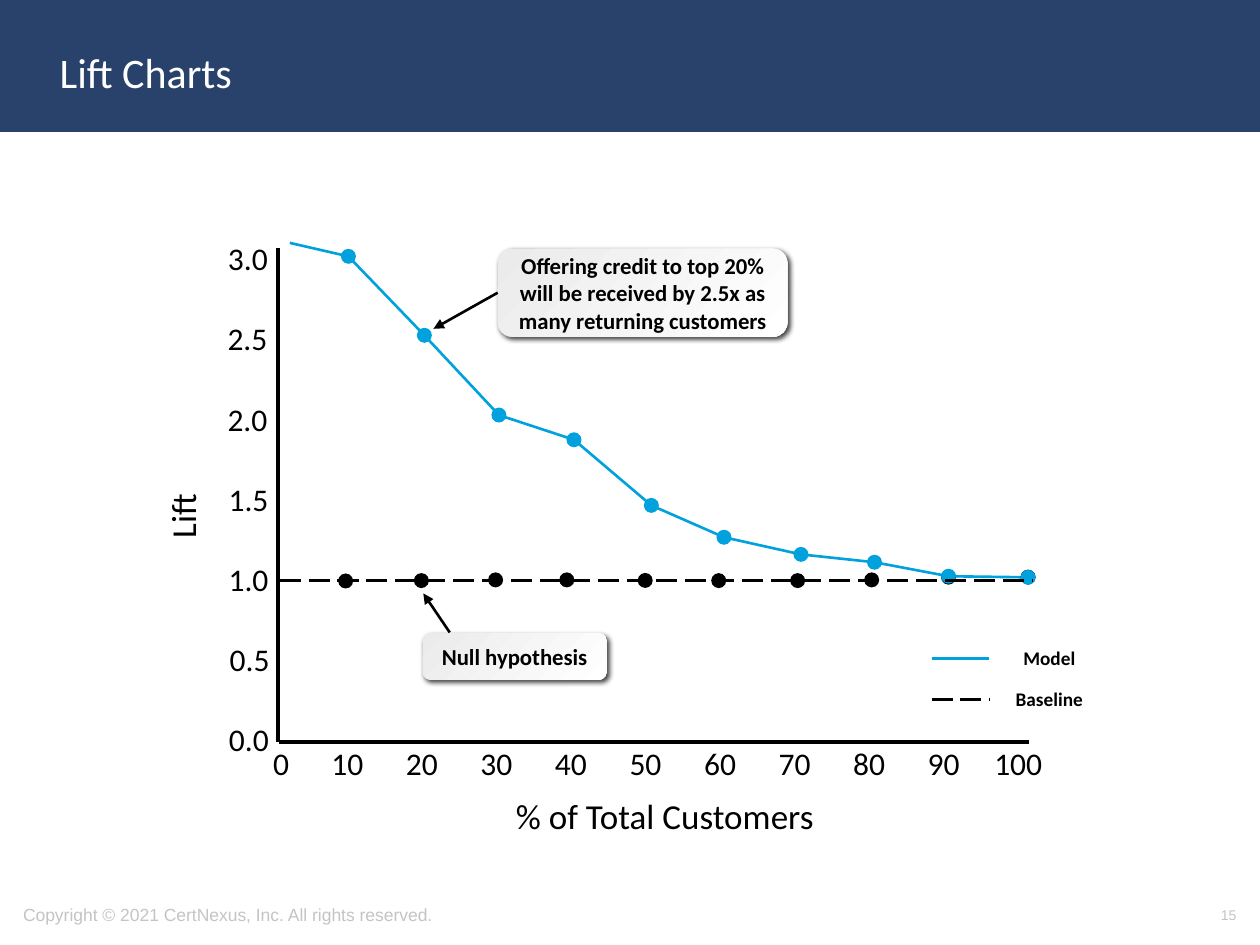
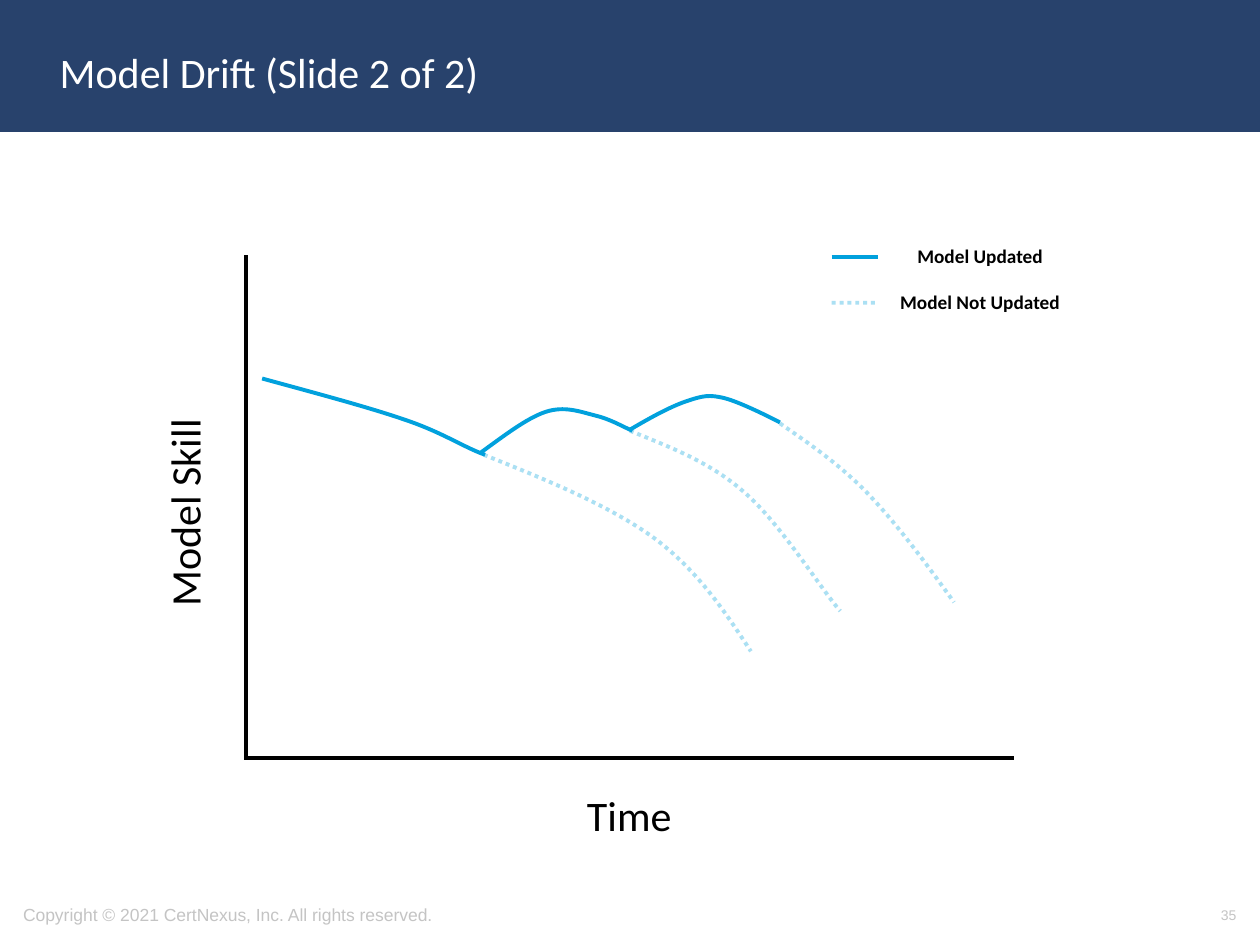
from dataclasses import dataclass

from lxml import etree
from pptx import Presentation
from pptx.dml.color import RGBColor
from pptx.enum.dml import MSO_LINE
from pptx.enum.shapes import MSO_CONNECTOR, MSO_SHAPE
from pptx.enum.text import MSO_ANCHOR, PP_ALIGN
from pptx.oxml.ns import qn
from pptx.util import Pt

LEFT, CENTER, RIGHT = PP_ALIGN.LEFT, PP_ALIGN.CENTER, PP_ALIGN.RIGHT
TOP, MIDDLE = MSO_ANCHOR.TOP, MSO_ANCHOR.MIDDLE
LONG_DASH, DOTTED = MSO_LINE.LONG_DASH, MSO_LINE.ROUND_DOT
STRAIGHT = MSO_CONNECTOR.STRAIGHT
RECTANGLE, ROUNDED, OVAL = MSO_SHAPE.RECTANGLE, MSO_SHAPE.ROUNDED_RECTANGLE, MSO_SHAPE.OVAL
LEFT_SIDE = 1


@dataclass(frozen=True)
class Theme:
    navy: str = "28426C"
    blue: str = "01A1DD"
    black: str = "000000"
    white: str = "FFFFFF"
    footer_gray: str = "C4C4C4"
    callout_gray: str = "EBEBEB"
    body_font: str = "Calibri"
    footer_font: str = "Arial"
    title_size: float = 24
    axis_size: float = 20
    tick_size: float = 18
    callout_size: float = 13
    legend_size: float = 11
    footer_size: float = 10
    number_size: float = 8


THEME = Theme()
Point = tuple[float, float]


@dataclass(frozen=True)
class Label:
    text: str
    left: float
    top: float
    width: float
    height: float
    size: float
    color: str = THEME.black
    font: str = THEME.body_font
    bold: bool = False
    align: PP_ALIGN = LEFT
    anchor: MSO_ANCHOR = TOP
    wrap: bool = True
    rotation: float = 0
    tabs: tuple[float, ...] = ()


@dataclass(frozen=True)
class Stroke:
    color: str
    width: float
    dash: MSO_LINE | None = None
    opacity: int = 100
    arrow: bool = False


@dataclass(frozen=True)
class Callout:
    text: str
    left: float
    top: float
    width: float
    height: float


AXIS = Stroke(THEME.black, 2.25)
MODEL = Stroke(THEME.blue, 1.5)
BASELINE = Stroke(THEME.black, 1.5, LONG_DASH)
POINTER = Stroke(THEME.black, 1.5, arrow=True)
UPDATED = Stroke(THEME.blue, 2.25)
NOT_UPDATED = Stroke(THEME.blue, 2.25, DOTTED, opacity=32)

# Lift chart: data points from 0 or 10 % to 100 % of customers
MODEL_POINTS = (
    (165.6, 138.8), (199.1, 146.5), (242.5, 191.6), (285.1, 237.2), (328, 251.3), (372.2, 288.8),
    (413.7, 307), (457.7, 316.8), (499.7, 321.3), (542, 329.3), (587.5, 329.9),
)
BASELINE_POINTS = (
    (197.5, 332), (240.8, 331.8), (283.2, 331.4), (323.9, 331.4), (368.7, 331.7),
    (410.7, 331.8), (455.8, 331.8), (498.1, 331.4), (542, 329.8), (587.5, 329.8),
)
DOT_SIZE = 8.6
TICK_LEFTS = (112.6, 112.4, 112.4, 113, 113, 113.6, 113.2)
TICK_STEP = 45.8
CREDIT = Callout("Offering credit to top 20% will be received by 2.5x as many returning customers",
                 284.4, 142.1, 165.6, 50.4)
NULL_HYPOTHESIS = Callout("Null hypothesis", 241.5, 361.7, 105.1, 26.8)

# Model drift: each curve is a start point, then three Bézier points a segment
UPDATED_CURVES = (
    ((149.8, 216.3), (180, 224.6), (210.2, 232.6), (231.1, 239.8),
     (252.7, 247), (265, 255.6), (277.2, 259.9)),
    ((275, 258.5), (288, 249.1), (301, 239), (311.8, 235.4),
     (322.6, 231.8), (331.9, 235.4), (339.8, 237.4),
     (348.5, 239.4), (355, 243.4), (361.4, 246.2)),
    ((360, 245.5), (372.2, 238.3), (383.8, 232), (393.1, 229),
     (401.8, 226.1), (405.4, 225.4), (414, 227.5),
     (422.6, 229.7), (439.9, 238.3), (445.7, 241.4)),
)
NOT_UPDATED_CURVES = (
    ((276.5, 259.9), (312.5, 274.3), (347.8, 288.7), (373.7, 307.4),
     (398.9, 326.2), (414, 349.2), (429.1, 372.2)),
    ((360, 246.2), (383, 255.6), (406.1, 264.2), (425.5, 281.5),
     (445.7, 298.8), (469.4, 337), (480.2, 349.2)),
    ((445.7, 241.9), (462.2, 253.4), (479.5, 265), (496.1, 282.2),
     (512.6, 299.5), (529.2, 321.8), (545.2, 344.2)),
)


# Drawing functions
def rgb(color: str) -> RGBColor:
    return RGBColor.from_string(color)


def add_xml(parent, tag: str, **attributes: str):
    return etree.SubElement(parent, qn(tag), attributes)


def fill_text(shape, label: Label) -> None:
    frame = shape.text_frame
    frame.word_wrap = label.wrap
    frame.vertical_anchor = label.anchor
    paragraph = frame.paragraphs[0]
    paragraph.text = label.text
    paragraph.alignment = label.align
    if label.tabs:
        tab_list = add_xml(paragraph._p.get_or_add_pPr(), "a:tabLst")
        for position in label.tabs:
            add_xml(tab_list, "a:tab", pos=str(Pt(position)), algn="ctr")
    font = paragraph.font
    font.name, font.size, font.bold = label.font, Pt(label.size), label.bold
    font.color.rgb = rgb(label.color)


def add_label(slide, label: Label) -> None:
    box = slide.shapes.add_textbox(Pt(label.left), Pt(label.top), Pt(label.width), Pt(label.height))
    box.rotation = label.rotation
    fill_text(box, label)


def apply_stroke(shape, stroke: Stroke) -> None:
    shape.line.color.rgb = rgb(stroke.color)
    shape.line.width = Pt(stroke.width)
    if stroke.dash is not None:
        shape.line.dash_style = stroke.dash
    outline = shape.element.spPr.find(qn("a:ln"))
    if stroke.opacity < 100:
        add_xml(outline.find(".//" + qn("a:srgbClr")), "a:alpha", val=str(stroke.opacity * 1000))
    if stroke.arrow:
        add_xml(outline, "a:tailEnd", type="triangle")


def add_line(slide, start: Point, end: Point, stroke: Stroke):
    line = slide.shapes.add_connector(STRAIGHT, *(Pt(value) for value in (*start, *end)))
    apply_stroke(line, stroke)
    add_xml(line.element.spPr, "a:effectLst")
    return line


def add_dot(slide, center: Point, color: str) -> None:
    x, y = center
    dot = slide.shapes.add_shape(OVAL, Pt(x - DOT_SIZE / 2), Pt(y - DOT_SIZE / 2),
                                 Pt(DOT_SIZE), Pt(DOT_SIZE))
    dot.fill.solid()
    dot.fill.fore_color.rgb = rgb(color)
    dot.line.fill.background()
    dot.shadow.inherit = False


def add_curve(slide, points: tuple[Point, ...], stroke: Stroke) -> None:
    (start_x, start_y), *controls = points
    builder = slide.shapes.build_freeform(Pt(start_x), Pt(start_y))
    builder.add_line_segments([(Pt(x), Pt(y)) for x, y in controls], close=False)
    curve = builder.convert_to_shape()
    # Join every three line ends into one Bézier segment
    segments = list(curve.element.iter(qn("a:lnTo")))
    outline = segments[0].getparent()
    for first in range(0, len(segments), 3):
        bezier = add_xml(outline, "a:cubicBezTo")
        for segment in segments[first:first + 3]:
            bezier.append(segment[0])
            outline.remove(segment)
    curve.fill.background()
    curve.shadow.inherit = False
    apply_stroke(curve, stroke)


def add_callout(slide, callout: Callout):
    area = (callout.left, callout.top, callout.width, callout.height)
    shape = slide.shapes.add_shape(ROUNDED, *(Pt(value) for value in area))
    shape.fill.gradient()
    shape.fill.gradient_angle = 315
    for stop, color in zip(shape.fill.gradient_stops, (THEME.callout_gray, THEME.white)):
        stop.color.rgb = rgb(color)
    shape.line.fill.background()
    shape.shadow.inherit = False
    shadow = add_xml(shape.element.spPr.find(qn("a:effectLst")), "a:outerShdw",
                     blurRad=str(Pt(3)), dist=str(Pt(2)), dir="2700000", rotWithShape="0")
    shadow_color = add_xml(shadow, "a:srgbClr", val=THEME.black)
    add_xml(shadow_color, "a:alpha", val="75000")
    fill_text(shape, Label(callout.text, *area, THEME.callout_size,
                           bold=True, align=CENTER, anchor=MIDDLE))
    return shape


def add_legend_entry(slide, text: str, line_left: float, line_width: float, y: float,
                     text_left: float, text_width: float, stroke: Stroke) -> None:
    add_line(slide, (line_left, y), (line_left + line_width, y), stroke)
    add_label(slide, Label(text, text_left, y - 10.4, text_width, 20.9, THEME.legend_size,
                           bold=True, align=CENTER))


def add_base_slide(presentation, title: str, number: str):
    slide = presentation.slides.add_slide(presentation.slide_layouts[6])
    band = slide.shapes.add_shape(RECTANGLE, 0, 0, presentation.slide_width, Pt(74.5))
    band.fill.solid()
    band.fill.fore_color.rgb = rgb(THEME.navy)
    band.shadow.inherit = False
    apply_stroke(band, Stroke(THEME.navy, 2))
    add_label(slide, Label(title, 27, 7.9, 620.6, 66.2, THEME.title_size, THEME.white,
                           anchor=MIDDLE))
    add_label(slide, Label("Copyright © 2021 CertNexus, Inc. All rights reserved.",
                           6.1, 508.3, 379.4, 28.8, THEME.footer_size, THEME.footer_gray,
                           THEME.footer_font, anchor=MIDDLE))
    add_label(slide, Label(number, 545.8, 508.3, 167.8, 28.8, THEME.number_size,
                           THEME.footer_gray, THEME.footer_font, align=RIGHT, anchor=MIDDLE))
    return slide


# Slides
def build_lift_charts(presentation) -> None:
    slide = add_base_slide(presentation, "Lift Charts", "15")
    for start, end in zip(MODEL_POINTS, MODEL_POINTS[1:]):
        add_line(slide, start, end, MODEL)

    # Axes, ticks and axis titles
    add_line(slide, (159.1, 141.8), (159.1, 424.1), AXIS)
    add_line(slide, (587.9, 424.1), (159.5, 424.1), AXIS)
    for index, left in enumerate(TICK_LEFTS):
        add_label(slide, Label(f"{3 - index / 2:.1f}", left, 133.2 + index * TICK_STEP,
                               47.5, 28.8, THEME.tick_size, align=RIGHT))
    add_label(slide, Label("\t".join(str(percent) for percent in range(0, 101, 10)),
                           149, 421.5, 461.5, 28.8, THEME.tick_size,
                           tabs=tuple(42.4 + 42.6 * index for index in range(10))))
    add_label(slide, Label("% of Total Customers", 287.7, 450.3, 186.5, 31.7, THEME.axis_size,
                           wrap=False))
    add_label(slide, Label("Lift", 84.2, 278.6, 40.3, 31.7, THEME.axis_size,
                           wrap=False, rotation=270))

    # Markers and baseline
    for points, color in ((BASELINE_POINTS, THEME.black), (MODEL_POINTS[1:], THEME.blue)):
        for center in points:
            add_dot(slide, center, color)
    add_line(slide, (159.8, 331.9), (590.4, 331.9), BASELINE)

    # Callouts and legend
    credit = add_callout(slide, CREDIT)
    pointer = add_line(slide, (284.4, 167.3), (247.7, 187.9), POINTER)
    pointer.begin_connect(credit, LEFT_SIDE)
    add_callout(slide, NULL_HYPOTHESIS)
    add_line(slide, (257, 361.4), (241.9, 339.1), POINTER)
    for text, y, stroke in (("Model", 376.4, MODEL), ("Baseline", 399.8, BASELINE)):
        add_legend_entry(slide, text, 532.3, 33.1, y, 567.9, 63.4, stroke)


def build_model_drift(presentation) -> None:
    slide = add_base_slide(presentation, "Model Drift (Slide 2 of 2)", "35")
    add_line(slide, (139.7, 433.1), (579.6, 433.1), AXIS)
    add_line(slide, (140.4, 433.4), (140.4, 145.9), AXIS)
    for curves, stroke in ((UPDATED_CURVES, UPDATED), (NOT_UPDATED_CURVES, NOT_UPDATED)):
        for points in curves:
            add_curve(slide, points, stroke)
    add_label(slide, Label("Time", 328.3, 447.8, 63.4, 36, THEME.title_size, wrap=False))
    add_label(slide, Label("Model Skill", 43.9, 274.6, 122.4, 36, THEME.title_size,
                           wrap=False, rotation=270))
    for text, y, stroke in (("Model Updated", 146.7, UPDATED),
                            ("Model Not Updated", 173, NOT_UPDATED)):
        add_legend_entry(slide, text, 475.3, 26.6, y, 505, 110.2, stroke)


def main() -> None:
    presentation = Presentation()
    presentation.slide_width, presentation.slide_height = Pt(720), Pt(540)
    build_lift_charts(presentation)
    build_model_drift(presentation)
    presentation.save("out.pptx")


if __name__ == "__main__":
    main()
